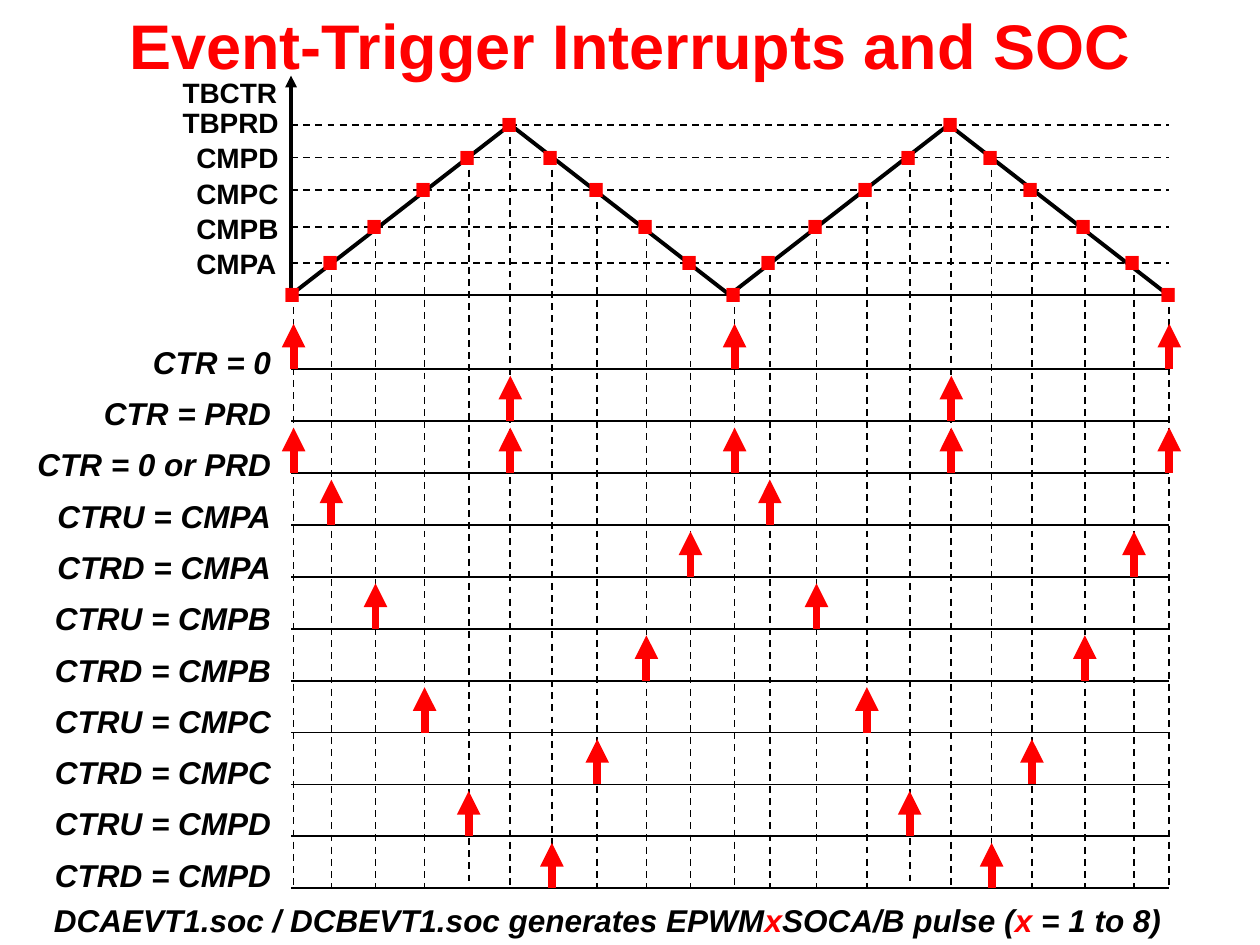
from lxml import etree
from pptx import Presentation, util as u
from pptx.dml.color import RGBColor
from pptx.enum import dml, shapes, text
from pptx.oxml.ns import qn

BLACK = RGBColor(0, 0, 0)
RED = RGBColor(255, 0, 0)
COLUMNS, ROWS = 100, 75

AXIS, RIGHT, GROUND = 23.1, 92.8, 23.4
LEVELS = {"ZERO": GROUND, "CMPA": 20.9, "CMPB": 18, "CMPC": 15.1, "CMPD": 12.5, "TBPRD": 9.9}
RISE = list(LEVELS)
CYCLE = RISE + RISE[-2:0:-1]
EVENT_COLUMNS = [23.3, 26.3, 29.8, 33.7, 37.2, 40.5, 43.8, 47.4, 51.3, 54.8, 58.3,
                 61.1, 64.8, 68.8, 72.2, 75.5, 78.7, 81.9, 86.1, 90, 92.8]
HALF_PERIOD = 17.4
FIRST_BASELINE, BASELINE_STEP = 29.3, 4.12
FIRST_LABEL, LABEL_STEP, LABEL_RIGHT = 27.3, 4.07, 22.5
PULSE = 3.6
COMPARE_STEPS = [(f"CTR{way} = CMP{letter}", 19.2, {position, position + 10})
                 for step, letter in enumerate("ABCD", 1)
                 for way, position in (("U", step), ("D", 10 - step))]
# Label, label width, and the positions in the event sequence that fire
TRIGGERS = [("CTR = 0", 11.4, {0, 10, 20}),
            ("CTR = PRD", 15.3, {5, 15}),
            ("CTR = 0 or PRD", 20.6, {0, 5, 10, 15, 20})] + COMPARE_STEPS


class TimingSlide:
    """Style and current slide; all lengths are in grid columns and rows."""

    font = "Arial"

    def __init__(self, presentation):
        self.slide = presentation.slides.add_slide(presentation.slide_layouts[6])
        self.column = presentation.slide_width / COLUMNS
        self.row = presentation.slide_height / ROWS

    def line(self, start, end, color=BLACK, weight=1, dashed=False, arrow=False):
        (x1, y1), (x2, y2) = start, end
        connector = self.slide.shapes.add_connector(
            shapes.MSO_CONNECTOR.STRAIGHT,
            round(x1 * self.column), round(y1 * self.row),
            round(x2 * self.column), round(y2 * self.row))
        connector.line.color.rgb = color
        connector.line.width = u.Pt(weight)
        if dashed:
            connector.line.dash_style = dml.MSO_LINE.DASH
        properties = connector._element.spPr
        if arrow:
            etree.SubElement(properties.find(qn("a:ln")), qn("a:tailEnd"), type="triangle")
        etree.SubElement(properties, qn("a:effectLst"))

    def text(self, box, runs, size, italic=False, align=text.PP_ALIGN.LEFT,
             wrap=False, spacing=0.8):
        """Add a bold one-paragraph box; runs is a list of (wording, colour)."""
        left, top, width, height = box
        shape = self.slide.shapes.add_textbox(
            round(left * self.column), round(top * self.row),
            round(width * self.column), round(height * self.row))
        frame = shape.text_frame
        frame.word_wrap = wrap
        if not wrap:
            frame.auto_size = text.MSO_AUTO_SIZE.SHAPE_TO_FIT_TEXT
        paragraph = frame.paragraphs[0]
        paragraph.alignment = align
        paragraph.line_spacing = spacing
        for wording, color in runs:
            run = paragraph.add_run()
            run.text = wording
            run.font.name = self.font
            run.font.size = u.Pt(size)
            run.font.bold = True
            run.font.italic = italic
            run.font.color.rgb = color
        return frame

    def title(self, wording):
        frame = self.text((0, 0, COLUMNS, 7), [(wording, RED)], 36,
                          align=text.PP_ALIGN.CENTER, wrap=True, spacing=1.0)
        frame.vertical_anchor = text.MSO_ANCHOR.MIDDLE

    def level_label(self, wording, top):
        left, width = (13.5, 9.8) if wording.startswith("TB") else (14.6, 8.6)
        self.text((left, top, width, 3.1), [(wording, BLACK)], 16)

    def marker(self, x, y):
        """Put a square full stop on the counter waveform."""
        self.text((x - 2.1, y - 5.65, 3.9, 8.3), [(".", RED)], 54)

    def trigger_row(self, index, label, width, fired):
        baseline = FIRST_BASELINE + index * BASELINE_STEP
        self.line((AXIS, baseline), (RIGHT, baseline))
        self.text((LABEL_RIGHT - width, FIRST_LABEL + index * LABEL_STEP, width, 3.4),
                  [(label, BLACK)], 18, italic=True, align=text.PP_ALIGN.RIGHT)
        for position in sorted(fired):
            x = EVENT_COLUMNS[position]
            self.line((x, baseline), (x, baseline - PULSE), RED, 4.5, arrow=True)


def main():
    presentation = Presentation()
    presentation.slide_width, presentation.slide_height = u.Inches(10), u.Inches(7.5)
    timing = TimingSlide(presentation)
    timing.title("Event-Trigger Interrupts and SOC")

    for level in RISE[1:]:
        timing.line((AXIS, LEVELS[level]), (RIGHT, LEVELS[level]), dashed=True)
    events = [(x, LEVELS[CYCLE[position % len(CYCLE)]])
              for position, x in enumerate(EVENT_COLUMNS)]
    last_baseline = FIRST_BASELINE + (len(TRIGGERS) - 1) * BASELINE_STEP
    for x, y in events:
        timing.line((x, y), (x, last_baseline), dashed=True)

    timing.level_label("TBCTR", 6)
    for index, level in enumerate(reversed(RISE[1:])):
        timing.level_label(level, 8.4 + 2.8 * index)

    timing.line((AXIS, GROUND), (RIGHT, GROUND))
    timing.line((AXIS, GROUND), (AXIS, 6), weight=2.25, arrow=True)
    corners = [(AXIS + HALF_PERIOD * index, LEVELS["TBPRD"] if index % 2 else GROUND)
               for index in range(5)]
    for start, end in zip(corners, corners[1:]):
        timing.line(start, end, weight=2.25)
    for x, y in events:
        timing.marker(x, y)

    for index, trigger in enumerate(TRIGGERS):
        timing.trigger_row(index, *trigger)

    timing.text((3.3, 71.6, 91.1, 3.4),
                [("DCAEVT1.soc / DCBEVT1.soc generates EPWM", BLACK), ("x", RED),
                 ("SOCA/B pulse (", BLACK), ("x", RED), (" = 1 to 8)", BLACK)],
                18, italic=True, wrap=True)
    presentation.save("out.pptx")


if __name__ == "__main__":
    main()
